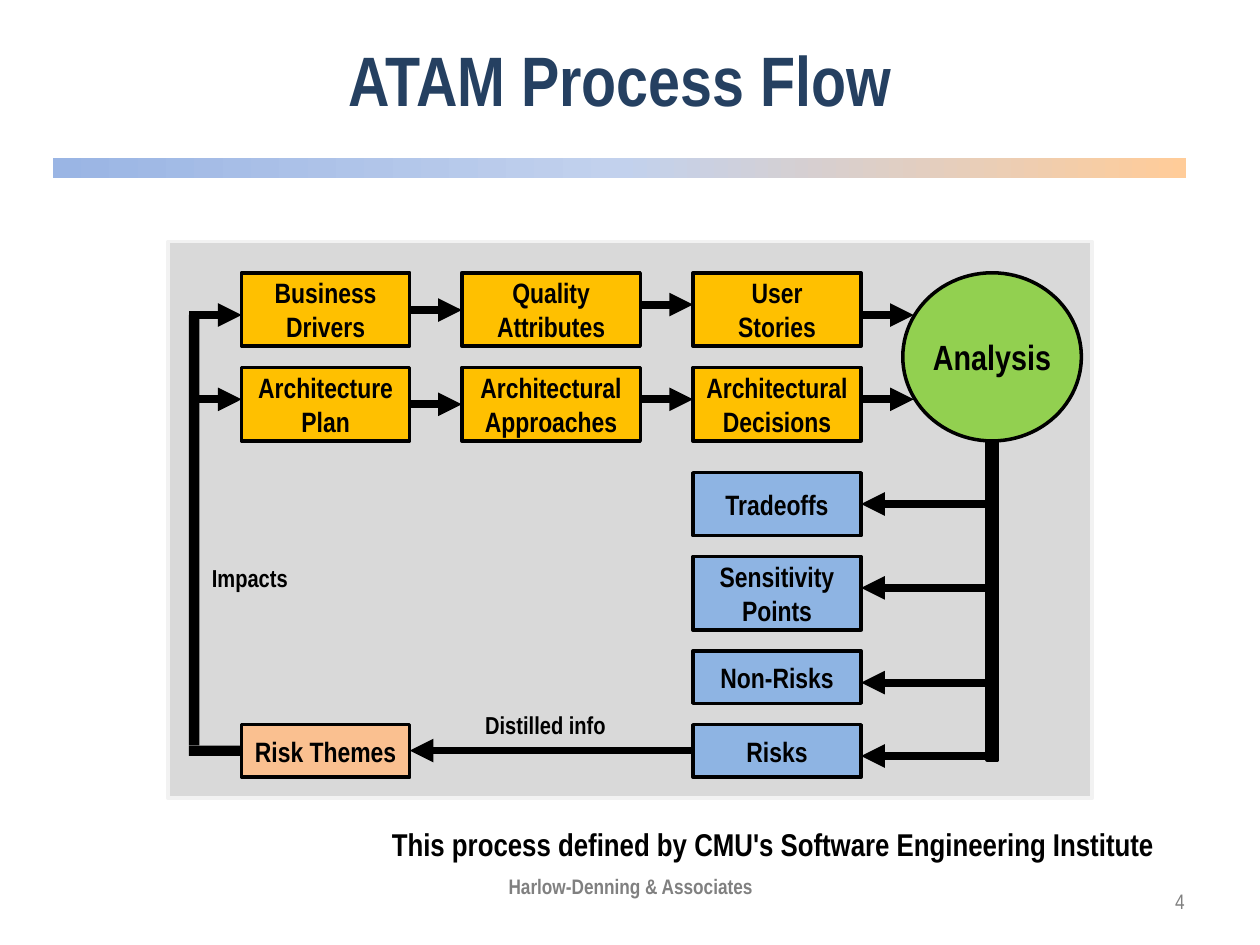
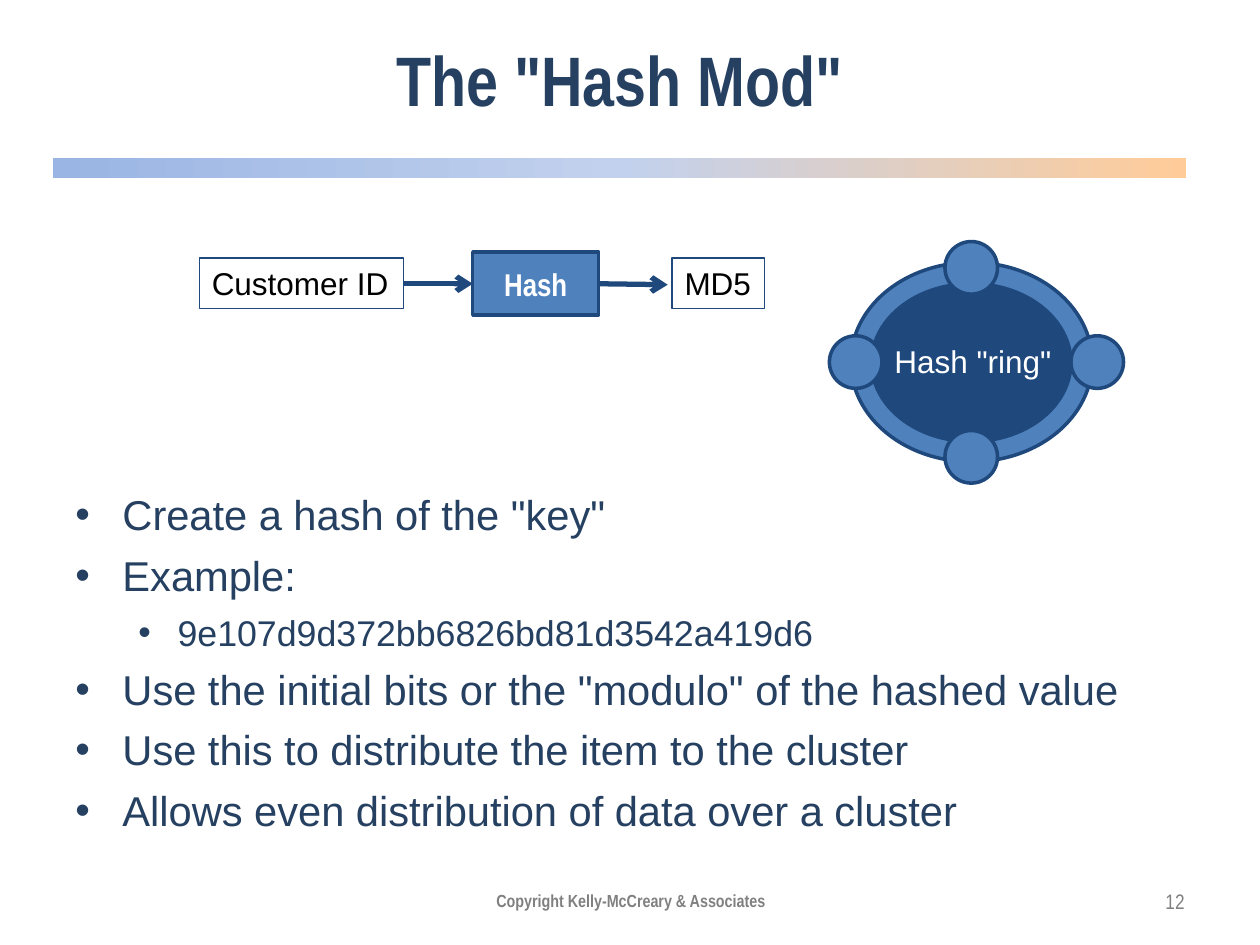
from copy import deepcopy

from lxml.etree import SubElement
from pptx import Presentation
from pptx.dml.color import RGBColor
from pptx.enum.shapes import MSO_CONNECTOR as Link, MSO_SHAPE as Form
from pptx.enum.text import MSO_ANCHOR as Anchor, PP_ALIGN as Align
from pptx.oxml.ns import qn
from pptx.util import Cm, Pt

NAVY, BLUE, DEEP = "254061", "4F81BD", "1F497D"
BLACK, WHITE, GREY = "000000", "FFFFFF", "808080"
GOLD, SKY, PEACH, LIME = "FFC000", "8EB4E3", "FAC090", "92D050"
BAND = [(0, "9AB5E4"), (0.5, "C2D1ED"), (1, "FFCC99")]
PLAIN, SLIM = "Arial", "Arial Narrow"


def color(code):
    """Turn a hex string into a colour."""
    return RGBColor.from_string(code)


def write(shape, lines, size, ink=BLACK, bold=True, face=SLIM,
          align=Align.CENTER, anchor=Anchor.MIDDLE, wrap=True):
    """Fill a shape with one paragraph for each line."""
    frame = shape.text_frame
    frame.word_wrap = wrap
    frame.vertical_anchor = anchor
    for i, line in enumerate(lines.split("\n")):
        para = frame.add_paragraph() if i else frame.paragraphs[0]
        para.alignment = align
        run = para.add_run()
        run.text = line
        font = run.font
        font.name, font.size, font.bold = face, Pt(size), bold
        font.color.rgb = color(ink)


def label(slide, box, lines, size, **style):
    """Add a text box."""
    write(slide.shapes.add_textbox(*map(Cm, box)), lines, size, **style)


def block(slide, box, fill=None, edge=None, width=2, form=Form.RECTANGLE):
    """Add a flat shape with an optional fill and edge."""
    shape = slide.shapes.add_shape(form, *map(Cm, box))
    shape.shadow.inherit = False
    if fill:
        shape.fill.solid()
        shape.fill.fore_color.rgb = color(fill)
    else:
        shape.fill.background()
    if edge:
        shape.line.color.rgb = color(edge)
        shape.line.width = Pt(width)
    else:
        shape.line.fill.background()
    return shape


def step(slide, box, lines, fill):
    """Add a box of the process flow."""
    write(block(slide, box, fill, BLACK), lines, 16)


def tag(slide, box, lines, ink=BLACK, wrap=True):
    """Add a thinly framed value."""
    write(block(slide, box, None, DEEP, 0.75), lines, 18, ink=ink, bold=False,
          face=PLAIN, align=Align.LEFT, anchor=Anchor.TOP, wrap=wrap)


def arrow(slide, left, right, y, ink=BLACK, width=4.5, head="triangle", drop=0):
    """Draw an arrow from the first x to the second."""
    link = slide.shapes.add_connector(
        Link.STRAIGHT, Cm(left), Cm(y), Cm(right), Cm(y + drop))
    link.line.color.rgb = color(ink)
    link.line.width = Pt(width)
    props = link.element.spPr
    SubElement(props.find(qn("a:ln")), qn("a:tailEnd"), type=head)
    SubElement(props, qn("a:effectLst"))


def blend(shape, stops):
    """Give a shape a three-stop gradient from left to right."""
    shape.fill.gradient()
    shape.fill.gradient_angle = 0
    first = shape.element.spPr.find(".//" + qn("a:gs"))
    first.addnext(deepcopy(first))
    for stop, (place, code) in zip(shape.fill.gradient_stops, stops):
        stop.position = place
        stop.color.rgb = color(code)


def base(deck, title, number):
    """Add a slide with its title, band and number."""
    slide = deck.slides.add_slide(deck.slide_layouts[6])
    blend(block(slide, (1.06, 3.18, 22.86, 0.42)), BAND)
    label(slide, (1.06, 0, 22.86, 3.18), title, 40, ink=NAVY)
    label(slide, (22.65, 17.65, 1.48, 1.02), number, 12, ink=GREY,
          bold=False, align=Align.RIGHT)
    return slide


def footer(slide, top, words, size):
    """Add the grey footer line."""
    label(slide, (8.69, top, 8.05, 1.02), words, size, ink=GREY)


def points(slide, box, items):
    """Add a bulleted list of (level, words) items."""
    frame = slide.shapes.add_textbox(*map(Cm, box)).text_frame
    frame.word_wrap = True
    for i, (level, words) in enumerate(items):
        para = frame.add_paragraph() if i else frame.paragraphs[0]
        para.level = level
        left, hang, size = [(0.95, 0.95, 23.8), (2.06, 0.79, 20.4)][level]
        props = para._p.get_or_add_pPr()
        props.set("marL", str(Cm(left)))
        props.set("indent", str(-Cm(hang)))
        if i:
            para.space_before = Pt(6)
        tint = SubElement(props, qn("a:buClr"))
        SubElement(tint, qn("a:srgbClr"), val=NAVY)
        SubElement(props, qn("a:buFont"), typeface=PLAIN)
        SubElement(props, qn("a:buChar"), char="•")
        run = para.add_run()
        run.text = words
        run.font.name, run.font.size = PLAIN, Pt(size)
        run.font.color.rgb = color(NAVY)


def flow(deck):
    """Build the process flow slide."""
    slide = base(deck, "ATAM Process Flow", "4")
    block(slide, (3.39, 4.87, 18.63, 11.22), "D9D9D9", "F2F2F2")
    hub = block(slide, (18.2, 5.5, 3.6, 3.39), LIME, BLACK, form=Form.OVAL)
    hub.text_frame.margin_left = hub.text_frame.margin_right = 0
    write(hub, "Analysis", 20)

    cols = [(4.87, 3.39), (9.31, 3.6), (13.97, 3.39)]
    ends = [9.31, 13.97, 18.42]
    rows = [
        (5.5, ["Business\nDrivers", "Quality\nAttributes", "User\nStories"],
         [6.25, 6.14, 6.35]),
        (7.41, ["Architecture\nPlan", "Architectural\nApproaches",
                "Architectural\nDecisions"], [8.15, 8.05, 8.05]),
    ]
    for top, names, levels in rows:
        for (left, width), end, name, y in zip(cols, ends, names, levels):
            step(slide, (left, top, width, 1.48), name, GOLD)
            arrow(slide, left + width, end, y)
        arrow(slide, 3.81, 4.87, levels[-1])

    block(slide, (19.9, 8.89, 0.21, 6.43), BLACK, BLACK)
    for top, height, name, y in [
            (9.53, 1.27, "Tradeoffs", 10.16),
            (11.22, 1.48, "Sensitivity\nPoints", 11.85),
            (13.12, 1.06, "Non-Risks", 13.76),
            (14.61, 1.06, "Risks", 15.24)]:
        step(slide, (13.97, top, 3.39, height), name, SKY)
        arrow(slide, 19.9, 17.36, y)

    step(slide, (4.87, 14.61, 3.39, 1.06), "Risk Themes", PEACH)
    arrow(slide, 13.97, 8.26, 15.13)
    block(slide, (3.81, 6.35, 0.21, 8.68), BLACK)
    block(slide, (3.81, 15.03, 1.06, 0.21), BLACK)
    for box, name in [((9.53, 14.18, 2.97, 0.86), "Distilled info"),
                      ((4.02, 11.22, 2.06, 0.86), "Impacts")]:
        label(slide, box, name, 14, align=Align.LEFT, anchor=Anchor.TOP,
              wrap=False)
    footer(slide, 17.35, "Harlow-Denning & Associates", 12)
    label(slide, (7.62, 16.51, 15.93, 1.02),
          "This process defined by CMU's Software Engineering Institute", 18,
          wrap=False)


def ring(deck):
    """Build the hash slide."""
    slide = base(deck, 'The "Hash Mod"', "12")
    points(slide, (1.27, 9.74, 22.86, 7.29), [
        (0, 'Create a hash of the "key"'),
        (0, "Example:"),
        (1, "9e107d9d372bb6826bd81d3542a419d6"),
        (0, 'Use the initial bits or the "modulo" of the hashed value'),
        (0, "Use this to distribute the item to the cluster"),
        (0, "Allows even distribution of data over a cluster"),
    ])
    footer(slide, 17.65, "Copyright Kelly-McCreary & Associates", 10)

    tag(slide, (4.02, 5.2, 4.12, 1.02), "Customer ID")
    write(block(slide, (9.53, 5.08, 2.54, 1.27), BLUE, DEEP), "Hash", 18,
          ink=WHITE)
    tag(slide, (13.55, 5.2, 1.86, 1.02), "MD5", wrap=False)
    arrow(slide, 8.14, 9.53, 5.72, DEEP, 3, "arrow")
    arrow(slide, 12.07, 13.46, 5.72, DEEP, 3, "arrow", drop=0.02)

    for box, fill in [((17.15, 5.29, 4.87, 4.02), BLUE),
                      ((17.57, 5.72, 4.02, 3.18), DEEP)]:
        block(slide, box, fill, DEEP, form=Form.OVAL)
    tag(slide, (17.78, 6.77, 3.7, 1.02), 'Hash "ring"', WHITE, wrap=False)
    for left, top in [(16.72, 6.77), (19.05, 8.68), (21.59, 6.77),
                      (19.05, 4.87)]:
        block(slide, (left, top, 1.06, 1.06), BLUE, DEEP, form=Form.OVAL)


def main():
    """Build and save the deck."""
    deck = Presentation()
    deck.slide_width, deck.slide_height = Cm(25.4), Cm(19.05)
    flow(deck)
    ring(deck)
    deck.save("out.pptx")


if __name__ == "__main__":
    main()
